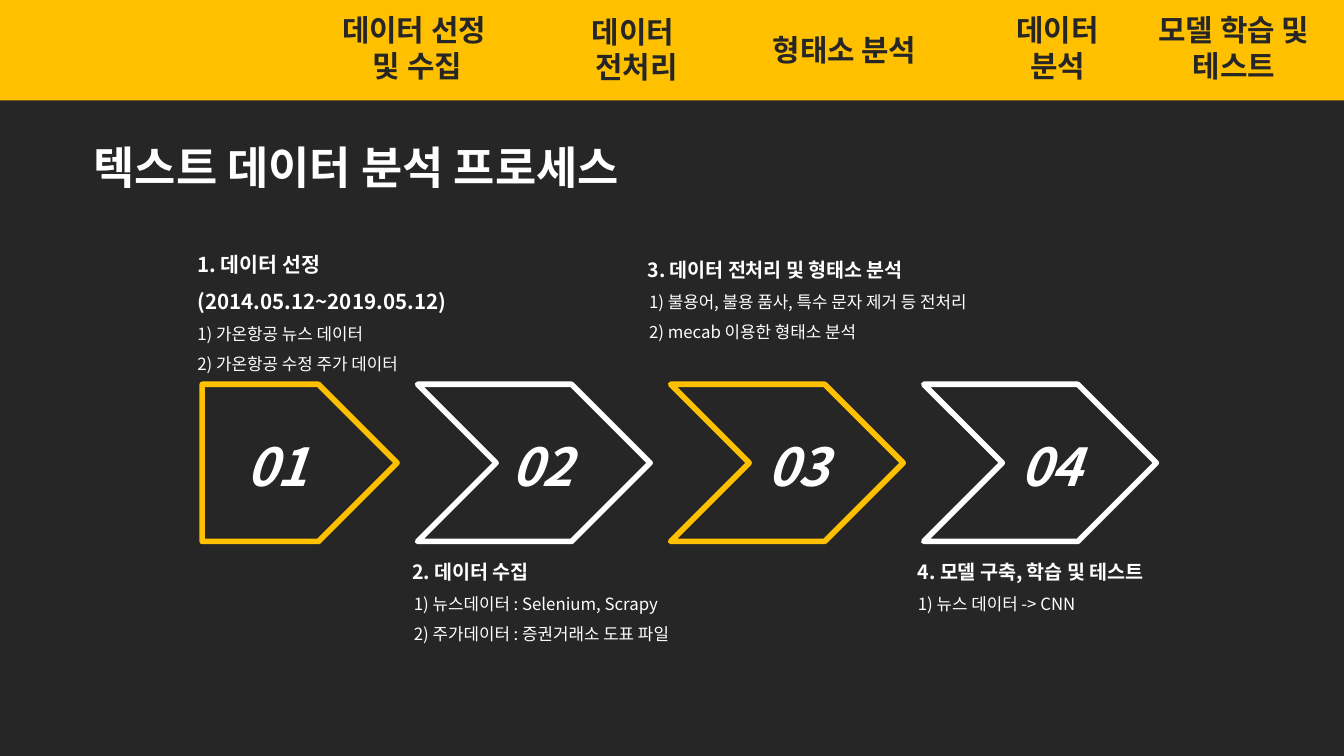
from lxml.etree import SubElement
from pptx import Presentation
from pptx.dml.color import RGBColor
from pptx.enum.shapes import MSO_SHAPE as Shape
from pptx.enum.text import MSO_ANCHOR as Anchor, MSO_AUTO_SIZE as AutoSize, PP_ALIGN as Align
from pptx.oxml.ns import qn
from pptx.util import Pt

FONT = "Noto Sans CJK KR"
COLORS = {"background": "262626", "accent": "FFC000", "light": "FFFFFF"}

TITLE = "텍스트 데이터 분석 프로세스"

# Header labels: lines, left, top, width, height
HEADER_LABELS = [
    (["데이터 선정 ", "및 수집"], 157, 2.9, 133.2, 46),
    (["데이터 ", "전처리"], 285.1, 3.6, 111.6, 46),
    (["형태소 분석"], 392.4, 13.7, 120.2, 26.6),
    (["데이터 분석"], 522, 2.9, 89.3, 46),
    (["모델 학습 및 테스트"], 611.3, 2.9, 99.4, 46),
]

# Process arrows: number, shape, width, line colour, number's shift from the centre
STEPS = [
    ("01", Shape.PENTAGON, 104.4, "accent", -12.2),
    ("02", Shape.CHEVRON, 124.6, "light", 4.3),
    ("03", Shape.CHEVRON, 124.6, "accent", 5.8),
    ("04", Shape.CHEVRON, 124.6, "light", 5.8),
]
STEPS_LEFT, STEPS_TOP, STEPS_HEIGHT, STEPS_GAP = 108.3, 205.9, 84.2, 11
NUMBER_TOP, NUMBER_WIDTH, NUMBER_HEIGHT = 229.7, 49.7, 38.2

# Step notes: heading, heading size, items, item indent, left, top, width, height
NOTES = [
    ("1. 데이터 선정 (2014.05.12~2019.05.12)", 11,
     ["1) 가온항공 뉴스 데이터", "2) 가온항공 수정 주가 데이터"],
     0, 100.8, 125.3, 206.6, 77),
    ("2. 데이터 수집", 10.5,
     ["1) 뉴스데이터 : Selenium, Scrapy", "2) 주가데이터 : 증권거래소 도표 파일"],
     0.7, 216, 290.9, 173.5, 71.3),
    ("3. 데이터 전처리 및 형태소 분석", 10.5,
     ["1) 불용어, 불용 품사, 특수 문자 제거 등 전처리", "2) mecab 이용한 형태소 분석"],
     0.7, 342, 128.9, 245.5, 54.7),
    ("4. 모델 구축, 학습 및 테스트", 10.5,
     ["1) 뉴스 데이터 -> CNN"],
     0, 486.7, 290.9, 156.2, 87.1),
]


def rgb(name):
    return RGBColor.from_string(COLORS[name])


def prepare_frame(frame, side=5, edge=2.9):
    frame.word_wrap = True
    frame.auto_size = AutoSize.NONE
    frame.vertical_anchor = Anchor.TOP
    frame.margin_left = frame.margin_right = Pt(side)
    frame.margin_top = frame.margin_bottom = Pt(edge)
    return frame


def add_text_box(shapes, left, top, width, height, **margins):
    box = shapes.add_textbox(Pt(left), Pt(top), Pt(width), Pt(height))
    return prepare_frame(box.text_frame, **margins)


def write_lines(frame, lines, align=Align.CENTER, spacing=None, indents=None):
    """Write one paragraph for each (text, size, colour, bold, italic)."""
    for index, (text, size, color, bold, italic) in enumerate(lines):
        paragraph = frame.paragraphs[0] if index == 0 else frame.add_paragraph()
        paragraph.alignment = align
        if spacing:
            paragraph.line_spacing = spacing
        if indents and indents[index]:
            paragraph._p.get_or_add_pPr().set("marL", str(Pt(indents[index])))
        run = paragraph.add_run()
        run.text = text
        font = run.font
        font.name, font.size, font.bold, font.italic = FONT, Pt(size), bold, italic
        font.color.rgb = rgb(color)
        east_asian = SubElement(run._r.get_or_add_rPr(), qn("a:ea"))
        east_asian.set("typeface", FONT)


def add_header(slide):
    bar = slide.shapes.add_shape(Shape.RECTANGLE, 0, 0, Pt(720), Pt(53.8))
    bar.shadow.inherit = False
    bar.fill.solid()
    bar.fill.fore_color.rgb = rgb("accent")
    bar.line.fill.background()
    for lines, *place in HEADER_LABELS:
        frame = add_text_box(slide.shapes, *place, side=7.2, edge=3.6)
        write_lines(frame, [(line, 16, "background", True, False) for line in lines])


def add_steps(shapes):
    left = STEPS_LEFT
    for number, kind, width, color, shift in STEPS:
        arrow = shapes.add_shape(kind, Pt(left), Pt(STEPS_TOP), Pt(width), Pt(STEPS_HEIGHT))
        arrow.shadow.inherit = False
        arrow.fill.background()
        arrow.line.color.rgb = rgb(color)
        arrow.line.width = Pt(3)
        number_left = left + (width - NUMBER_WIDTH) / 2 + shift
        frame = add_text_box(shapes, number_left, NUMBER_TOP, NUMBER_WIDTH, NUMBER_HEIGHT)
        write_lines(frame, [(number, 28, "light", True, True)])
        left += width + STEPS_GAP


def add_notes(shapes):
    for heading, size, items, indent, *place in NOTES:
        lines = [(heading, size, "light", True, False)]
        lines += [(item, 9, "light", False, False) for item in items]
        write_lines(add_text_box(shapes, *place), lines, Align.LEFT, 1.5,
                    [0] + [indent] * len(items))


def main():
    presentation = Presentation()
    presentation.slide_width, presentation.slide_height = Pt(720), Pt(405)
    slide = presentation.slides.add_slide(presentation.slide_layouts[5])
    slide.background.fill.solid()
    slide.background.fill.fore_color.rgb = rgb("background")

    title = slide.shapes.title
    title.left, title.top, title.width, title.height = Pt(15.1), Pt(72), Pt(351.4), Pt(34.6)
    write_lines(prepare_frame(title.text_frame), [(TITLE, 24, "light", True, False)])

    add_header(slide)
    process = slide.shapes.add_group_shape()
    add_steps(process.shapes)
    add_notes(process.shapes)
    presentation.save("out.pptx")


if __name__ == "__main__":
    main()
